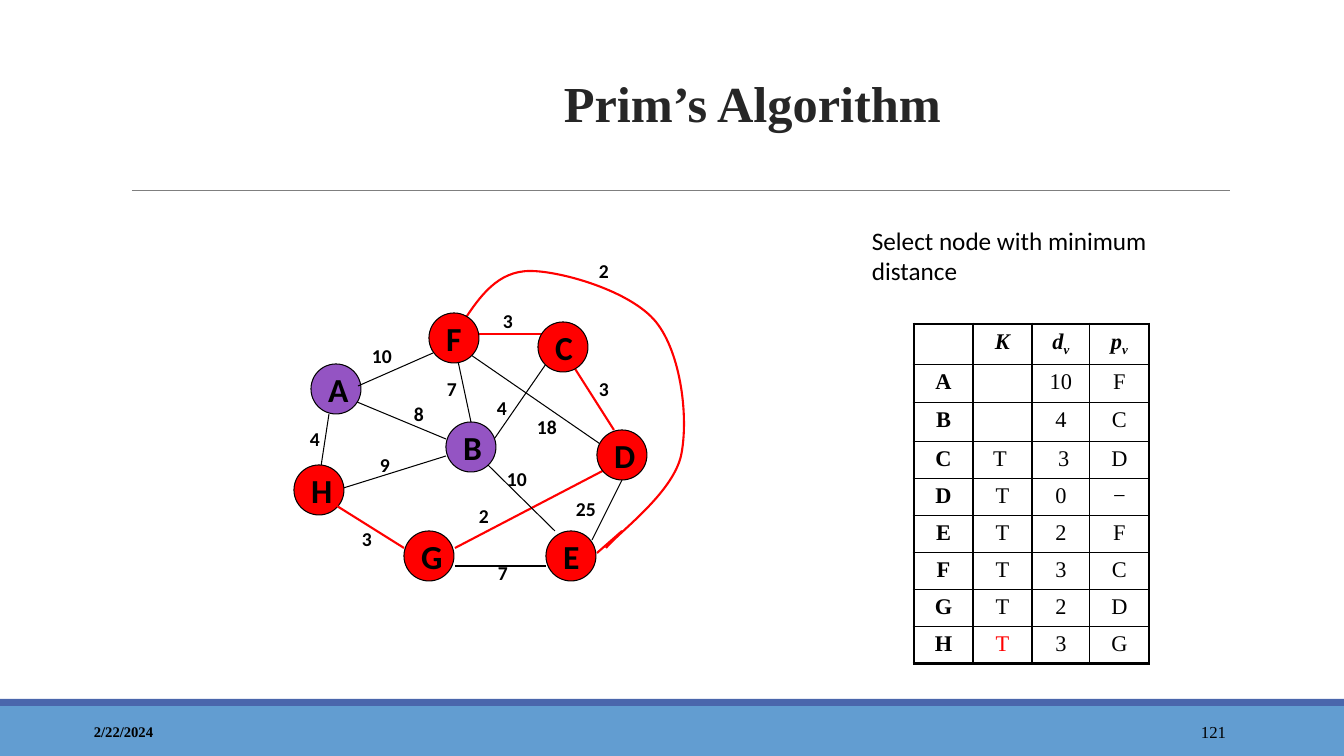
from dataclasses import dataclass

from lxml.etree import SubElement
from pptx import Presentation
from pptx.dml.color import RGBColor
from pptx.enum.shapes import MSO_CONNECTOR, MSO_SHAPE
from pptx.enum.text import MSO_ANCHOR, PP_ALIGN
from pptx.oxml import parse_xml
from pptx.oxml.ns import nsdecls, qn
from pptx.util import Emu, Pt

# Content: positions in px
TITLE = "Prim’s Algorithm"
NOTE = "Select node with minimum distance"
DATE, PAGE = "2/22/2024", "121"

NODES = {  # name: (left, top, selected)
    "A": (311, 364, False), "H": (294, 465, True), "B": (446, 422, False),
    "F": (429, 313, True), "E": (546, 531, True), "D": (597, 430, True),
    "C": (538, 322, True), "G": (404, 531, True),
}
EDGES_BEHIND = [  # x1, y1, x2, y2, in spanning tree
    (634, 456, 592, 540, False), (455, 347, 471, 422, False),
    (488, 448, 546, 364, False), (606, 448, 471, 355, False),
    (337, 490, 446, 456, False), (455, 548, 614, 465, True),
    (320, 473, 329, 414, False), (345, 397, 446, 439, False),
    (476, 334, 555, 334, True), (572, 364, 614, 430, True),
]
EDGES_IN_FRONT = [
    (488, 465, 555, 531, False), (546, 566, 455, 566, False),
    (404, 548, 337, 506, True), (358, 386, 433, 353, False),
    (622, 531, 597, 553, True),
]
CURVE_START = (463, 322)
CURVE_POINTS = [  # two control points and an end point per segment
    (480, 296), (498, 271), (530, 271),
    (561, 271), (631, 291), (656, 322),
    (681, 353), (689, 418), (681, 456),
    (672, 494), (618, 533), (606, 548),
]
WEIGHTS = [
    ("4", 300, 422), ("25", 566, 492), ("7", 488, 556), ("2", 469, 499),
    ("10", 497, 462), ("18", 527, 410), ("3", 589, 372), ("4", 487, 391),
    ("3", 493, 304), ("7", 437, 372), ("8", 404, 397), ("9", 370, 448),
    ("3", 352, 522), ("10", 362, 339), ("2", 589, 254),
]
TABLE_HEADER = [("", ""), ("K", ""), ("d", "v"), ("p", "v")]
TABLE_ROWS = [
    ("A", "", "10", "F"), ("B", "", "4", "C"), ("C", "T ", " 3", "D"),
    ("D", "T", "0", "−"), ("E", "T", "2", "F"), ("F", "T", "3", "C"),
    ("G", "T", "2", "D"), ("H", "T", "3", "G"),
]
NEWEST_CELL = (8, 1)
COLUMN_WIDTHS = [59, 59, 58, 59]
ROW_HEIGHTS = [38, 38, 39] + [37] * 6


@dataclass(frozen=True)
class Theme:
    serif: str = "Times New Roman"
    sans: str = "Calibri"
    black: str = "000000"
    title: str = "262626"
    red: str = "FF0000"
    purple: str = "9454C3"
    band: str = "629DD1"
    stripe: str = "4A66AC"
    rule: str = "7F7F7F"
    title_size: float = 36
    node_size: float = 24
    note_size: float = 18
    table_size: float = 16
    weight_size: float = 14
    page_size: float = 12
    date_size: float = 10.5
    thin: float = 0.75
    grid: float = 1
    tree: float = 1.5
    frame: float = 2.25


THEME = Theme()
SCALE = 914400 / 100.8


def px(length):
    return Emu(round(length * SCALE))


def box(*lengths):
    return [px(length) for length in lengths]


def color(value):
    return RGBColor.from_string(value)


def write_text(frame, text, *, size, font=THEME.sans, fill=THEME.black, bold=False,
               italic=False, align=PP_ALIGN.LEFT, subscript=""):
    frame.word_wrap = True
    paragraph = frame.paragraphs[0]
    paragraph.alignment = align
    for part in filter(None, (text, subscript)):
        run = paragraph.add_run()
        run.text = part
        run.font.name, run.font.size = font, Pt(size)
        run.font.bold, run.font.italic = bold, italic
        run.font.color.rgb = color(fill)
    if subscript:
        run.font._element.set("baseline", "-25000")
    if not text:
        SubElement(paragraph._p, qn("a:endParaRPr"), sz=str(size * 100))
    return paragraph


def add_label(slide, text, bounds, anchor=MSO_ANCHOR.TOP, **text_format):
    label = slide.shapes.add_textbox(*box(*bounds))
    label.text_frame.vertical_anchor = anchor
    write_text(label.text_frame, text, **text_format)


def add_filled(slide, kind, bounds, fill):
    shape = slide.shapes.add_shape(kind, *box(*bounds))
    shape.shadow.inherit = False
    shape.fill.solid()
    shape.fill.fore_color.rgb = color(fill)
    shape.line.fill.background()
    return shape


def set_line(shape, line_color, width):
    shape.line.color.rgb = color(line_color)
    shape.line.width = Pt(width)


def add_line(slide, ends, line_color, width):
    connector = slide.shapes.add_connector(MSO_CONNECTOR.STRAIGHT, *box(*ends))
    set_line(connector, line_color, width)
    SubElement(connector._element.spPr, qn("a:effectLst"))


def add_edges(slide, edges):
    for *ends, in_tree in edges:
        add_line(slide, ends, THEME.red if in_tree else THEME.black,
                 THEME.tree if in_tree else THEME.thin)


def add_curve(slide):
    builder = slide.shapes.build_freeform(*CURVE_START, scale=SCALE)
    builder.add_line_segments(CURVE_POINTS, close=False)
    curve = builder.convert_to_shape()
    curve.shadow.inherit = False
    curve.fill.background()
    set_line(curve, THEME.red, THEME.tree)
    # Turn each three points into one cubic segment
    outline = curve._element.find(".//" + qn("a:path"))
    steps = outline.findall(qn("a:lnTo"))
    for first in range(0, len(steps), 3):
        segment = SubElement(outline, qn("a:cubicBezTo"))
        for step in steps[first:first + 3]:
            segment.append(step[0])
            outline.remove(step)


def set_borders(cell, row, column):
    outer = {"L": column == 0, "R": column == len(COLUMN_WIDTHS) - 1,
             "T": row == 0, "B": row == len(ROW_HEIGHTS) - 1}
    properties = cell._tc.get_or_add_tcPr()
    for index, (side, is_outer) in enumerate(outer.items()):
        width = Pt(THEME.frame if is_outer else THEME.grid)
        properties.insert(index, parse_xml(
            f'<a:ln{side} {nsdecls("a")} w="{width}"><a:solidFill>'
            f'<a:srgbClr val="{THEME.black}"/></a:solidFill></a:ln{side}>'))


def add_distance_table(slide):
    bounds = box(914, 324, sum(COLUMN_WIDTHS), sum(ROW_HEIGHTS))
    table = slide.shapes.add_table(len(ROW_HEIGHTS), len(COLUMN_WIDTHS), *bounds).table
    table.first_row = table.horz_banding = False
    for column, width in zip(table.columns, COLUMN_WIDTHS):
        column.width = px(width)
    for row, height in zip(table.rows, ROW_HEIGHTS):
        row.height = px(height)
    rows = [TABLE_HEADER] + [[(text, "") for text in row] for row in TABLE_ROWS]
    for r, row in enumerate(rows):
        for c, (text, subscript) in enumerate(row):
            cell = table.cell(r, c)
            cell.fill.background()
            set_borders(cell, r, c)
            write_text(cell.text_frame, text, subscript=subscript, size=THEME.table_size,
                       font=THEME.serif, bold=r == 0 or c == 0, italic=r == 0,
                       align=PP_ALIGN.CENTER,
                       fill=THEME.red if (r, c) == NEWEST_CELL else THEME.black)


def main():
    presentation = Presentation()
    presentation.slide_width, presentation.slide_height = box(1344, 756)
    slide = presentation.slides.add_slide(presentation.slide_layouts[5])

    # Title, rule and footer
    title = slide.shapes.title
    title.left, title.top, title.width, title.height = box(198, 31, 1109, 107)
    title.text_frame.vertical_anchor = MSO_ANCHOR.BOTTOM
    write_text(title.text_frame, TITLE, size=THEME.title_size, font=THEME.serif,
               fill=THEME.title, bold=True, align=PP_ALIGN.CENTER).line_spacing = 1.1
    add_filled(slide, MSO_SHAPE.RECTANGLE, (0, 706, 1344, 50), THEME.band)
    add_filled(slide, MSO_SHAPE.RECTANGLE, (0, 699, 1344, 7), THEME.stripe)
    add_line(slide, (132, 191, 1230, 191), THEME.rule, THEME.thin)
    add_label(slide, DATE, (84, 712, 302, 40), MSO_ANCHOR.MIDDLE,
              size=THEME.date_size, font=THEME.serif, bold=True)
    add_label(slide, PAGE, (1092, 712, 144, 40), MSO_ANCHOR.MIDDLE,
              size=THEME.page_size, font=THEME.serif, align=PP_ALIGN.RIGHT)

    # Note and table
    add_distance_table(slide)
    add_label(slide, NOTE, (862, 220, 320, 78), size=THEME.note_size)

    # Graph
    add_curve(slide)
    add_edges(slide, EDGES_BEHIND)
    for name, (left, top, selected) in NODES.items():
        node = add_filled(slide, MSO_SHAPE.OVAL, (left, top, 50, 50),
                          THEME.red if selected else THEME.purple)
        set_line(node, THEME.black, THEME.thin)
        node.text_frame.vertical_anchor = MSO_ANCHOR.MIDDLE
        write_text(node.text_frame, name, size=THEME.node_size, bold=True)
    add_edges(slide, EDGES_IN_FRONT)
    for weight, left, top in WEIGHTS:
        add_label(slide, weight, (left, top, 14 + 19 * len(weight), 33),
                  size=THEME.weight_size, bold=True)

    presentation.save("out.pptx")


if __name__ == "__main__":
    main()
